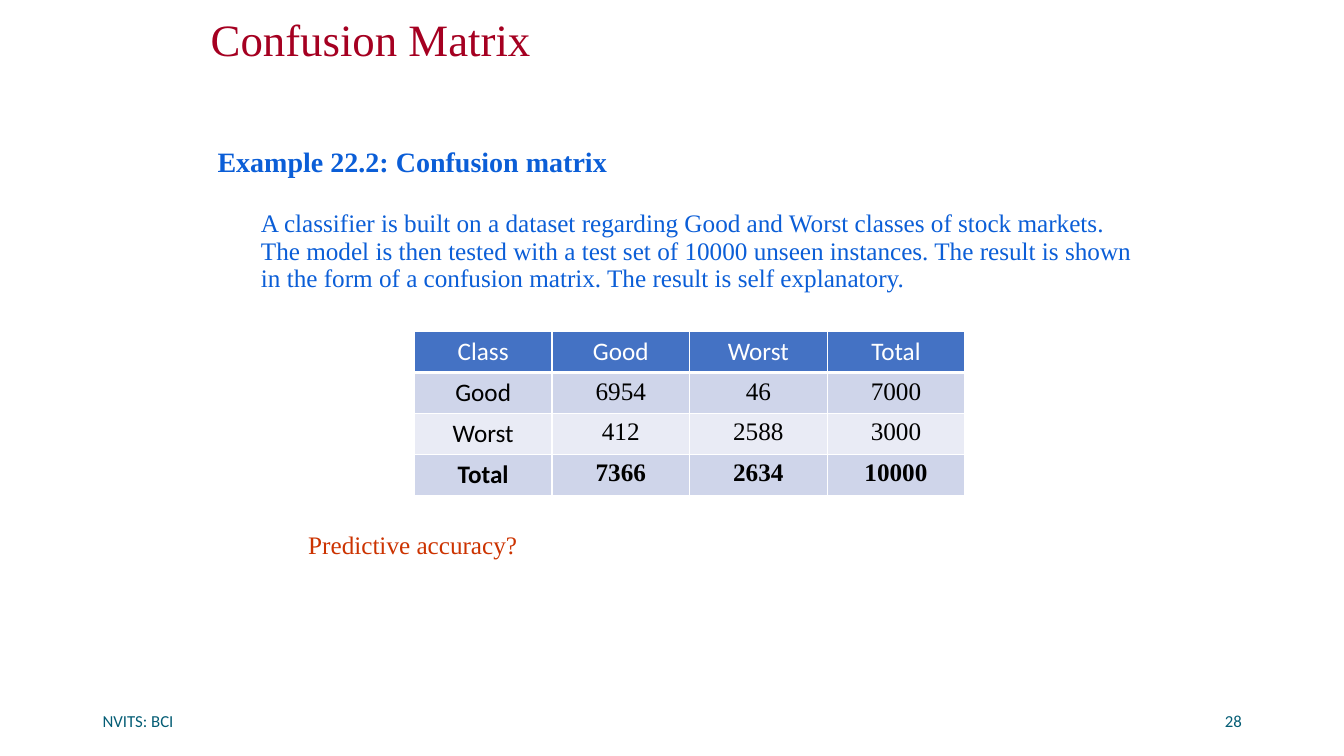
from lxml.etree import SubElement
from pptx import Presentation
from pptx.dml.color import RGBColor
from pptx.enum.text import MSO_ANCHOR, MSO_AUTO_SIZE, PP_ALIGN
from pptx.oxml.ns import qn
from pptx.util import Pt

SERIF = "Times New Roman"
SANS = "Calibri"

CRIMSON = RGBColor(0xA5, 0x00, 0x21)
BLUE = RGBColor(0x0B, 0x5E, 0xD7)
TEAL = RGBColor(0x04, 0x5D, 0x75)
ORANGE = RGBColor(0xCC, 0x33, 0x00)
BLACK = RGBColor(0x00, 0x00, 0x00)
WHITE = RGBColor(0xFF, 0xFF, 0xFF)
HEADER_FILL = RGBColor(0x44, 0x72, 0xC4)
BAND_FILLS = (RGBColor(0xCF, 0xD5, 0xEA), RGBColor(0xE9, 0xEB, 0xF5))

MATRIX = (
    ("Class", "Good", "Worst", "Total"),
    ("Good", "6954", "46", "7000"),
    ("Worst", "412", "2588", "3000"),
    ("Total", "7366", "2634", "10000"),
)
EXPLANATION = (
    "A classifier is built on a dataset regarding Good and Worst classes of stock markets. "
    "The model is then tested with a test set of 10000 unseen instances. "
    "The result is shown in the form of a confusion matrix. The result is self explanatory."
)


def write(para, text, size=18, font=SERIF, color=BLACK, bold=False,
          align=PP_ALIGN.LEFT, line=None, before=None, indent=None):
    """Put one formatted span of text into a paragraph."""
    para.alignment = align
    if line is not None:
        para.line_spacing = line
    if before is not None:
        para.space_before = Pt(before)
    if indent is not None:
        properties = para._p.get_or_add_pPr()
        properties.set("marL", str(Pt(indent)))
        properties.set("indent", "0")
    span = para.add_run()
    span.text = text
    span.font.size = Pt(size)
    span.font.name = font
    span.font.bold = bold
    span.font.color.rgb = color


def place(shape, left, top, width, height):
    shape.left, shape.top = Pt(left), Pt(top)
    shape.width, shape.height = Pt(width), Pt(height)


def add_box(page, left, top, width, height, anchor=MSO_ANCHOR.TOP, wrap=True):
    """Add a text box and return its text frame."""
    box = page.shapes.add_textbox(Pt(left), Pt(top), Pt(width), Pt(height))
    frame = box.text_frame
    frame.word_wrap = wrap
    frame.vertical_anchor = anchor
    return frame


def set_borders(cell, bottom):
    """Draw white borders, with a bottom line of the given width."""
    properties = cell._tc.get_or_add_tcPr()
    for side, width in (("lnL", 1), ("lnR", 1), ("lnT", 1), ("lnB", bottom)):
        line = SubElement(properties, qn(f"a:{side}"), w=str(Pt(width)))
        fill = SubElement(line, qn("a:solidFill"))
        SubElement(fill, qn("a:srgbClr"), val=str(WHITE))


def add_matrix(page, left, top, column_width, row_height):
    rows, columns = len(MATRIX), len(MATRIX[0])
    table = page.shapes.add_table(
        rows, columns, Pt(left), Pt(top),
        Pt(column_width * columns), Pt(row_height * rows)).table
    for column in table.columns:
        column.width = Pt(column_width)
    for row, values in enumerate(MATRIX):
        table.rows[row].height = Pt(row_height)
        header = row == 0
        for column, value in enumerate(values):
            cell = table.cell(row, column)
            set_borders(cell, bottom=3 if header else 1)
            cell.fill.solid()
            cell.fill.fore_color.rgb = HEADER_FILL if header else BAND_FILLS[(row - 1) % 2]
            write(cell.text_frame.paragraphs[0], value,
                  font=SANS if header or column == 0 else SERIF,
                  color=WHITE if header else BLACK,
                  bold=row == rows - 1, align=PP_ALIGN.CENTER)


def add_footer(page, text, left, align):
    frame = add_box(page, left, 500.4, 216, 28.8, anchor=MSO_ANCHOR.MIDDLE)
    write(frame.paragraphs[0], text, size=12, font=SANS, color=TEAL, align=align)


def main():
    deck = Presentation()
    deck.slide_width, deck.slide_height = Pt(960), Pt(540)
    page = deck.slides.add_slide(deck.slide_layouts[5])

    # Title
    title = page.shapes.title
    place(title, 143.3, 5, 663, 49.7)
    title.text_frame.vertical_anchor = MSO_ANCHOR.MIDDLE
    title.text_frame.auto_size = MSO_AUTO_SIZE.NONE
    write(title.text_frame.paragraphs[0], "Confusion Matrix",
          size=32, color=CRIMSON, line=0.9)

    # Example text
    body = add_box(page, 148.3, 102.2, 669.6, 348.5)
    write(body.paragraphs[0], "Example 22.2: Confusion matrix",
          size=20, color=BLUE, bold=True, line=0.9, before=10)
    write(body.add_paragraph(), EXPLANATION,
          color=BLUE, line=0.9, before=23.5, indent=31)

    # Footer and page number
    add_footer(page, "NVITS: BCI", 66.2, PP_ALIGN.LEFT)
    add_footer(page, "28", 678.2, PP_ALIGN.RIGHT)

    # Confusion matrix and question
    add_matrix(page, 296, 236.9, 98.3, 29.2)
    question = add_box(page, 213.1, 374.4, 165.6, 28.8, wrap=False)
    question.auto_size = MSO_AUTO_SIZE.SHAPE_TO_FIT_TEXT
    write(question.paragraphs[0], "Predictive accuracy?", color=ORANGE)

    deck.save("out.pptx")


if __name__ == "__main__":
    main()
